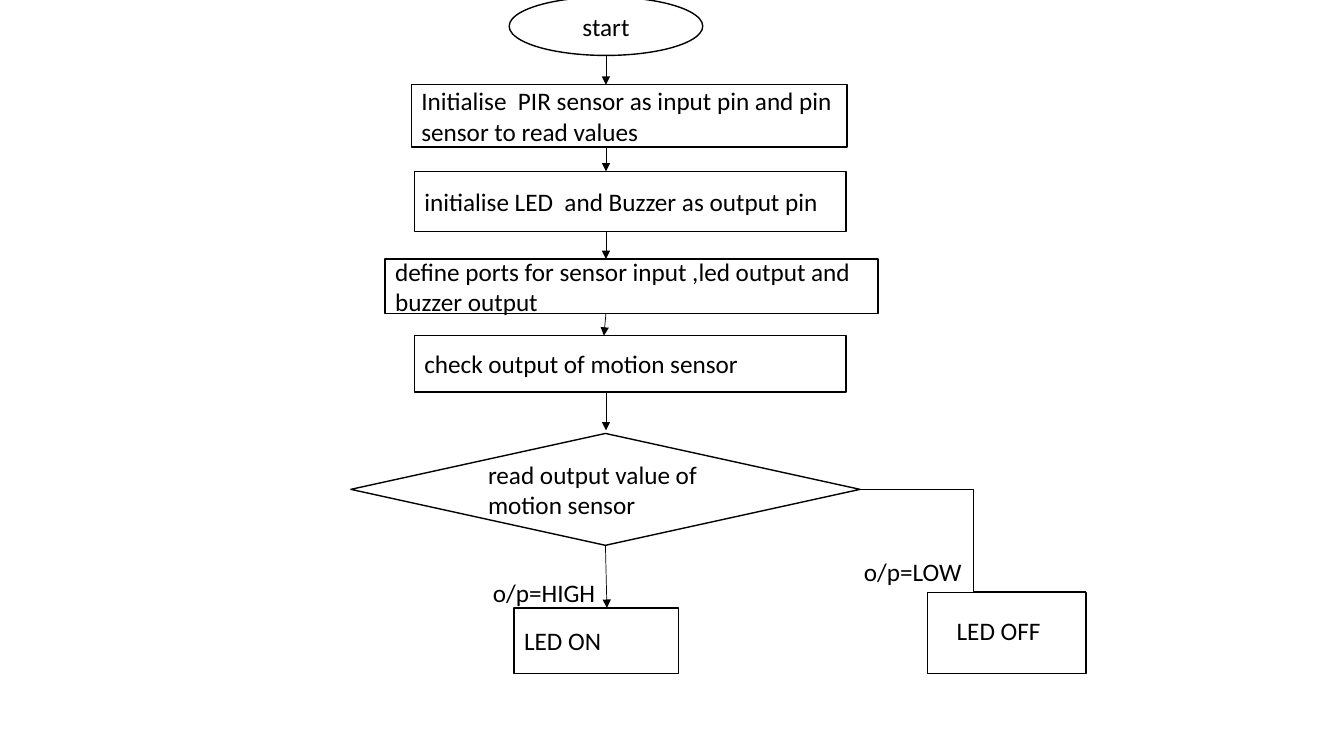
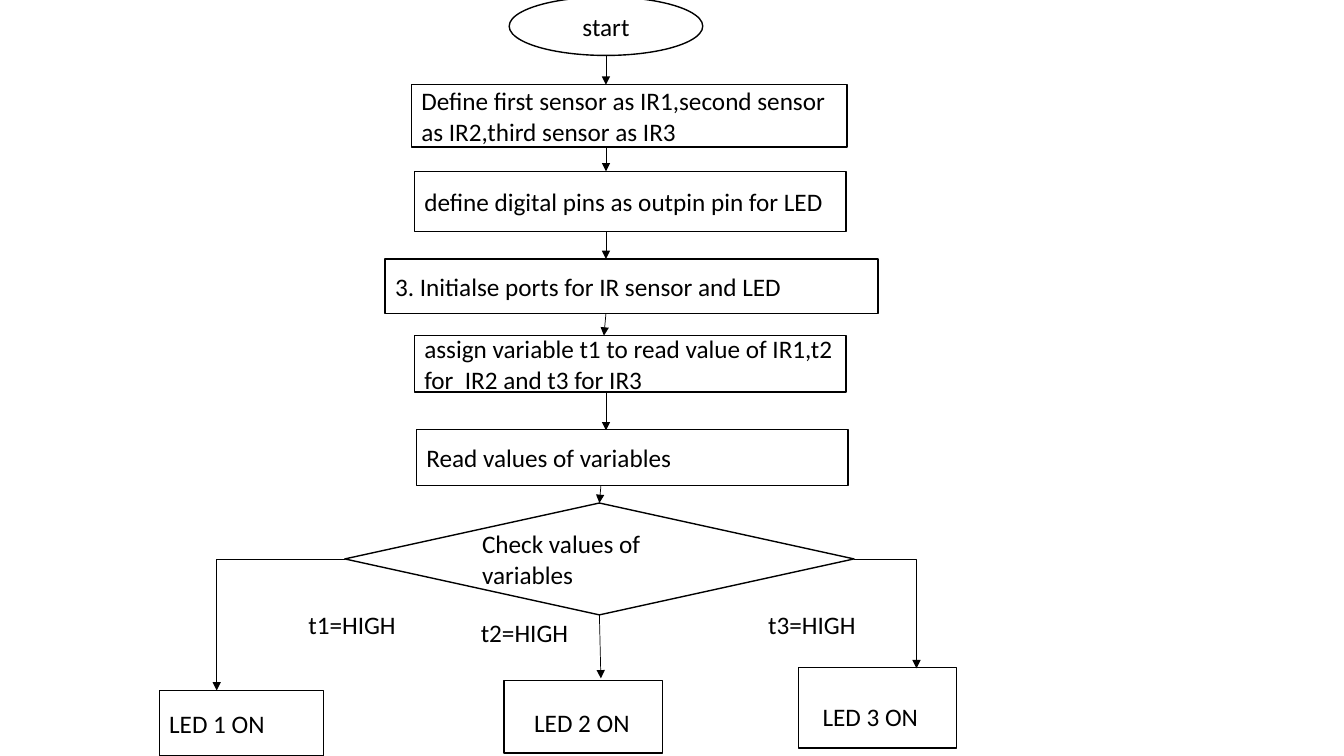
import pptx
import pptx.util
import pptx.dml.color
import pptx.enum.shapes
import pptx.enum.text
from dataclasses import dataclass
from lxml import etree

Inches = pptx.util.Inches
Pt = pptx.util.Pt
KIND = pptx.enum.shapes.MSO_SHAPE
WIRE = pptx.enum.shapes.MSO_CONNECTOR
ALIGN = pptx.enum.text.PP_ALIGN
NS = "{http://schemas.openxmlformats.org/drawingml/2006/main}"


@dataclass(frozen=True)
class Theme:
    ink: pptx.dml.color.RGBColor
    paper: pptx.dml.color.RGBColor
    font: str = "Calibri"
    size: float = 18
    edge: float = 1
    wire: float = 0.5


THEME = Theme(pptx.dml.color.RGBColor(0, 0, 0),
              pptx.dml.color.RGBColor(255, 255, 255))

# Steps of the main flow: offset from the flow's box, then size
STEPS = [(0.26, 0.87, 4.32, 0.62), (0.29, 1.73, 4.28, 0.6),
         (0, 2.6, 4.89, 0.54), (0.29, 3.36, 4.28, 0.56)]
FLOW = (3.82, -0.03, 4.89, 3.92)
AXIS = 2.19


def write(frame, text, align=ALIGN.LEFT):
    para = frame.paragraphs[0]
    para.alignment = align
    run = para.add_run()
    run.text = text
    run.font.name = THEME.font
    run.font.size = Pt(THEME.size)
    run.font.color.rgb = THEME.ink


def node(slide, box, text="", kind=KIND.RECTANGLE, align=ALIGN.LEFT):
    shape = slide.shapes.add_shape(kind, *map(Inches, box))
    shape.shadow.inherit = False
    shape.line.color.rgb = THEME.ink
    shape.line.width = Pt(THEME.edge)
    if text:
        shape.fill.solid()
        shape.fill.fore_color.rgb = THEME.paper
        frame = shape.text_frame
        frame.word_wrap = True
        frame.vertical_anchor = pptx.enum.text.MSO_ANCHOR.MIDDLE
        write(frame, text, align)
    else:
        shape.fill.background()
    return shape


def label(slide, box, text):
    frame = slide.shapes.add_textbox(*map(Inches, box)).text_frame
    frame.word_wrap = False
    frame.auto_size = pptx.enum.text.MSO_AUTO_SIZE.SHAPE_TO_FIT_TEXT
    write(frame, text)


def link(slide, start, end, kind=WIRE.STRAIGHT, head=True, corner=False):
    line = slide.shapes.add_connector(kind, *map(Inches, start + end))
    line.line.color.rgb = THEME.ink
    line.line.width = Pt(THEME.wire)
    props = line._element.spPr
    if corner:  # one bend instead of two
        props.find(NS + "prstGeom").set("prst", "bentConnector2")
    if head:
        etree.SubElement(props.find(NS + "ln"), NS + "tailEnd", type="triangle")
    etree.SubElement(props, NS + "effectLst")
    return line


def flow(slide, box, texts):
    """Start oval and four steps, each with an arrow to the next."""
    left, top = box[:2]
    mid = left + AXIS
    node(slide, (left + 1.23, top, 1.92, 0.58), "start", KIND.OVAL, ALIGN.CENTER)
    tops, ends = [], [top + 0.58]
    for (x, y, wide, high), text in zip(STEPS, texts):
        node(slide, (left + x, top + y, wide, high), text)
        tops.append(top + y)
        ends.append(top + y + high)
    tops.append(top + 4.3)
    for row, (start, end) in enumerate(zip(ends, tops)):
        shift = 0.02 if row == 3 else 0
        link(slide, (mid, start), (mid - shift, end))


def choice(slide, box, text, drop):
    """Decision diamond with an arrow down to the point drop."""
    shape = node(slide, box, text, KIND.DIAMOND)
    left, top, wide, high = box
    line = link(slide, (left + wide / 2, top + high), drop)
    line.begin_connect(shape, 2)
    return shape


def result(slide, box, text, inset):
    """Outlined box with its caption placed inside."""
    node(slide, box)
    left, top = box[:2]
    x, y, wide = inset
    label(slide, (left + x, top + y, wide, 0.4), text)


def motion(slide):
    flow(slide, FLOW, [
        "Initialise  PIR sensor as input pin and pin sensor to read values",
        "initialise LED  and Buzzer as output pin",
        "define ports for sensor input ,led output and buzzer output",
        "check output of motion sensor"])
    # Decision and its two outcomes
    node(slide, (5.1, 6.03, 1.63, 0.65), "LED ON")
    choice(slide, (3.48, 4.3, 5.05, 1.11),
           "read output value of motion sensor", (6.02, 6.03))
    link(slide, (8.53, 4.85), (10.77, 5.87), WIRE.ELBOW, head=False)
    result(slide, (9.2, 5.88, 1.57, 0.8), "LED OFF", (0.19, 0.18, 1.04))
    label(slide, (4.79, 5.68, 1.23, 0.4), "o/p=HIGH")
    label(slide, (8.47, 5.47, 1.18, 0.4), "o/p=LOW")


def infra(slide):
    flow(slide, FLOW, [
        "Define first sensor as IR1,second sensor as IR2,third sensor as IR3",
        "define digital pins as outpin pin for LED",
        "3. Initialse ports for IR sensor and LED",
        "assign variable t1 to read value of IR1,t2 for  IR2 and t3 for IR3"])
    # Reading step and decision
    node(slide, (4.13, 4.26, 4.28, 0.56), "Read values of variables")
    check = choice(slide, (3.42, 4.99, 5.05, 1.11),
                   "Check values of variables", (5.96, 6.73))
    link(slide, (5.96, 4.82), (5.94, 4.99)).end_connect(check, 0)
    # Three outcomes
    node(slide, (1.58, 6.85, 1.63, 0.65), "LED 1 ON")
    result(slide, (5, 6.75, 1.57, 0.72), "LED 2 ON", (0.2, 0.22, 1.16))
    result(slide, (7.92, 6.62, 1.57, 0.8), "LED 3 ON", (0.14, 0.29, 1.16))
    for x, y, text in [(2.96, 6, "t1=HIGH"), (4.67, 6.08, "t2=HIGH"),
                       (7.52, 6, "t3=HIGH")]:
        label(slide, (x, y, 1.08, 0.4), text)
    for start, end in [((3.42, 5.55), (2.15, 6.85)), ((8.47, 5.55), (9.09, 6.63))]:
        link(slide, start, end, WIRE.ELBOW, corner=True)


def main():
    deck = pptx.Presentation()
    deck.slide_width, deck.slide_height = Inches(13.33), Inches(7.5)
    for build in (motion, infra):
        build(deck.slides.add_slide(deck.slide_layouts[6]))
    deck.save("out.pptx")


if __name__ == "__main__":
    main()
